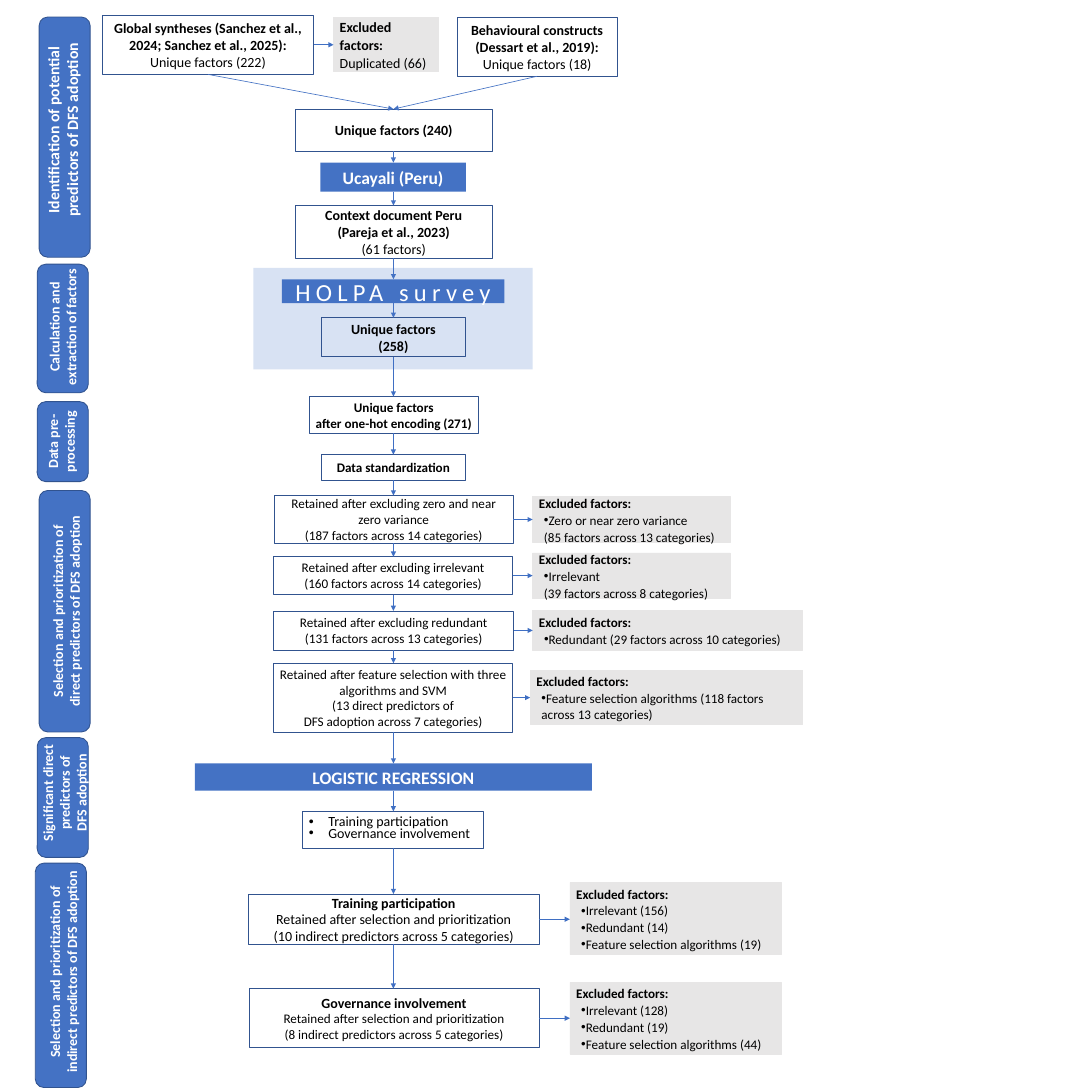
from lxml.etree import SubElement
from pptx import Presentation
from pptx.dml.color import RGBColor
from pptx.enum.shapes import MSO_CONNECTOR, MSO_SHAPE
from pptx.enum.text import MSO_ANCHOR, PP_ALIGN
from pptx.oxml.ns import qn
from pptx.util import Inches, Pt

COLORS = {
    "blue": "4472C4", "arrow": "3F6FC3", "border": "31538F", "panel": "D8E2F3",
    "grey": "E7E6E6", "black": "000000", "white": "FFFFFF",
}
AXIS = 6.24


class FlowChart:
    def __init__(self, page, font="Calibri"):
        self.page = page
        self.font = font

    def color(self, name):
        return RGBColor.from_string(COLORS[name])

    def shape(self, at, fill=None, border=None, kind=MSO_SHAPE.RECTANGLE):
        box = self.page.shapes.add_shape(kind, *map(Inches, at))
        box.shadow.inherit = False
        if fill:
            box.fill.solid()
            box.fill.fore_color.rgb = self.color(fill)
        else:
            box.fill.background()
        if border:
            box.line.color.rgb = self.color(border)
            box.line.width = Pt(1)
        else:
            box.line.fill.background()
        self.prepare(box)
        return box

    def prepare(self, box):
        box.text_frame.word_wrap = True
        box.text_frame.vertical_anchor = MSO_ANCHOR.MIDDLE

    def add_line(self, box, text, size, color="black", bold=False, align=PP_ALIGN.CENTER,
                 spacing=None, bullet=False, left=0, hanging=0, tracking=0):
        frame = box.text_frame
        para = frame.paragraphs[0]
        if para.runs:
            para = frame.add_paragraph()
        para.alignment = align
        if spacing:
            para.line_spacing = spacing
        props = para._p.get_or_add_pPr()
        if left:
            props.set("marL", str(Inches(left)))
            props.set("indent", str(-Inches(hanging)))
        if bullet:
            tint = SubElement(props, qn("a:buClr"))
            SubElement(tint, qn("a:srgbClr"), val=COLORS[color])
            SubElement(props, qn("a:buFont"), typeface="Arial")
            SubElement(props, qn("a:buChar"), char="•")
        span = para.add_run()
        span.text = text
        span.font.name = self.font
        span.font.size = Pt(size)
        span.font.bold = bold
        span.font.color.rgb = self.color(color)
        if tracking:
            span._r.get_or_add_rPr().set("spc", str(tracking * 100))

    def stage(self, at, label_at, lines, size=16):
        tab = self.shape(at, "blue", "border", MSO_SHAPE.ROUNDED_RECTANGLE)
        tab.adjustments[0] = 0.17
        label = self.page.shapes.add_textbox(*map(Inches, label_at))
        label.rotation = 270
        self.prepare(label)
        for line in lines:
            self.add_line(label, line, size, "white", True)

    def step(self, at, heads, details=(), size=15, detail_size=None):
        box = self.shape(at, border="border")
        for line in heads:
            self.add_line(box, line, size, bold=True)
        for line in details:
            self.add_line(box, line, detail_size or size)

    def banner(self, at, text, size=20, bold=True, tracking=0):
        box = self.shape(at, "blue")
        self.add_line(box, text, size, "white", bold, tracking=tracking)

    def findings(self, at, items):
        box = self.shape(at, border="border")
        for item in items:
            self.add_line(box, item, 16, align=PP_ALIGN.LEFT, spacing=Pt(13),
                          bullet=True, left=0.31, hanging=0.31)

    def excluded(self, at, items, size=15, listed=True):
        box = self.shape(at, "grey", "grey")
        self.add_line(box, "Excluded factors:", size, bold=True, align=PP_ALIGN.LEFT, spacing=1.07)
        for item in items:
            self.add_line(box, item, size, align=PP_ALIGN.LEFT, spacing=1.07,
                          bullet=listed and not item.startswith("("),
                          left=0.08 if listed else 0)

    def arrow(self, x1, y1, x2, y2, color="arrow"):
        line = self.page.shapes.add_connector(
            MSO_CONNECTOR.STRAIGHT, *map(Inches, (x1, y1, x2, y2)))
        line.line.color.rgb = self.color(color)
        line.line.width = Pt(0.75)
        props = line._element.spPr
        SubElement(props.find(qn("a:ln")), qn("a:tailEnd"), type="triangle")
        SubElement(props, qn("a:effectLst"))


def main():
    deck = Presentation()
    deck.slide_width = deck.slide_height = Inches(17.32)
    page = deck.slides.add_slide(deck.slide_layouts[6])
    chart = FlowChart(page)
    chart.shape((4.02, 4.25, 4.43, 1.61), "panel")

    stages = [
        ((0.62, 0.27, 0.81, 3.81), (-0.83, 1.87, 3.64, 0.38),
         ["Identification of potential predictors of DFS adoption"], 18),
        ((0.59, 4.19, 0.81, 2.04), (-0.08, 4.9, 2.14, 0.57),
         ["Calculation and extraction of factors"]),
        ((0.59, 6.37, 0.81, 1.27), (0.33, 6.71, 1.27, 0.59), ["Data pre-processing"]),
        ((0.62, 7.78, 0.81, 3.83), (-0.87, 9.41, 3.83, 0.57),
         ["Selection and prioritization of", "direct predictors of DFS adoption"]),
        ((0.59, 11.7, 0.81, 1.9), (0.07, 12.29, 1.9, 0.57),
         ["Significant direct predictors of", "DFS adoption"]),
        ((0.56, 13.69, 0.81, 3.56), (-0.73, 15.13, 3.46, 0.57),
         ["Selection and prioritization of indirect predictors of DFS adoption"]),
    ]
    for stage in stages:
        chart.stage(*stage)

    syntheses = (1.62, 0.24, 3.36, 0.94)
    constructs = (7.25, 0.27, 2.54, 0.94)
    pooled = (4.68, 1.73, 3.13, 0.67)
    region = (5.08, 2.58, 2.31, 0.46)
    context = (4.68, 3.26, 3.13, 0.84)
    survey = (4.47, 4.43, 3.53, 0.38)
    surveyed = (5.1, 5.04, 2.28, 0.62)
    encoded = (4.9, 6.29, 2.69, 0.58)
    standardized = (5.1, 7.21, 2.28, 0.41)
    variance = (4.35, 7.86, 3.79, 0.76)
    relevant = (4.34, 8.83, 3.79, 0.6)
    redundant = (4.34, 9.69, 3.81, 0.62)
    selected = (4.34, 10.52, 3.79, 1.09)
    regression = (3.09, 12.11, 6.3, 0.43)
    outcomes = (4.8, 12.87, 2.87, 0.58)
    training = (3.94, 14.18, 4.61, 0.8)
    governance = (3.95, 15.68, 4.6, 0.94)

    steps = [
        (syntheses, ["Global syntheses (Sanchez et al., 2024; Sanchez et al., 2025):"],
         ["Unique factors (222)"], 16),
        (constructs, ["Behavioural constructs (Dessart et al., 2019):"],
         ["Unique factors (18)"], 16),
        (pooled, ["Unique factors (240)"], [], 16),
        (context, ["Context document Peru", "(Pareja et al., 2023)"], ["(61 factors)"], 16),
        (surveyed, ["Unique factors", "(258)"], [], 16),
        (encoded, ["Unique factors", "after one-hot encoding (271)"]),
        (standardized, ["Data standardization"]),
        (variance, [], ["Retained after excluding zero and near zero variance",
                        "(187 factors across 14 categories)"]),
        (relevant, [], ["Retained after excluding irrelevant",
                        "(160 factors across 14 categories)"]),
        (redundant, [], ["Retained after excluding redundant",
                         "(131 factors across 13 categories)"]),
        (selected, [], ["Retained after feature selection with three algorithms and SVM",
                        "(13 direct predictors of", "DFS adoption across 7 categories)"]),
        (training, ["Training participation"],
         ["Retained after selection and prioritization",
          "(10 indirect predictors across 5 categories)"], 16),
        (governance, ["Governance involvement"],
         ["Retained after selection and prioritization",
          "(8 indirect predictors across 5 categories)"], 16, 15),
    ]
    for step in steps:
        chart.step(*step)
    chart.banner(region, "Ucayali (Peru)")
    chart.banner(survey, "HOLPA survey", 28, False, 6)
    chart.banner(regression, "LOGISTIC REGRESSION")
    chart.findings(outcomes, ["Training participation", "Governance involvement"])

    exclusions = [
        (syntheses, (5.29, 0.27, 1.67, 0.87), ["Duplicated (66)"], 16, False),
        (variance, (8.45, 7.88, 3.13, 0.72),
         ["Zero or near zero variance", "(85 factors across 13 categories)"]),
        (relevant, (8.45, 8.77, 3.13, 0.72),
         ["Irrelevant", "(39 factors across 8 categories)"]),
        (redundant, (8.45, 9.68, 4.28, 0.63), ["Redundant (29 factors across 10 categories)"]),
        (selected, (8.41, 10.63, 4.32, 0.86),
         ["Feature selection algorithms (118 factors across 13 categories)"]),
        (training, (9.04, 14, 3.35, 1.14),
         ["Irrelevant (156)", "Redundant (14)", "Feature selection algorithms (19)"]),
        (governance, (9.04, 15.58, 3.35, 1.14),
         ["Irrelevant (128)", "Redundant (19)", "Feature selection algorithms (44)"]),
    ]
    for (left, top, width, height), at, *content in exclusions:
        chart.excluded(at, *content)
        middle = top + height / 2
        chart.arrow(left + width, middle, at[0], middle)

    for left, top, width, height in (syntheses, constructs):
        chart.arrow(left + width / 2, top + height, AXIS, pooled[1], "blue")
    flow = [pooled, region, context, survey, surveyed, encoded, standardized, variance, relevant,
            redundant, selected, regression, outcomes, training, governance]
    for upper, lower in zip(flow, flow[1:]):
        color = "blue" if upper[1] < surveyed[1] else "arrow"
        chart.arrow(AXIS, upper[1] + upper[3], AXIS, lower[1], color)

    deck.save("out.pptx")


if __name__ == "__main__":
    main()
